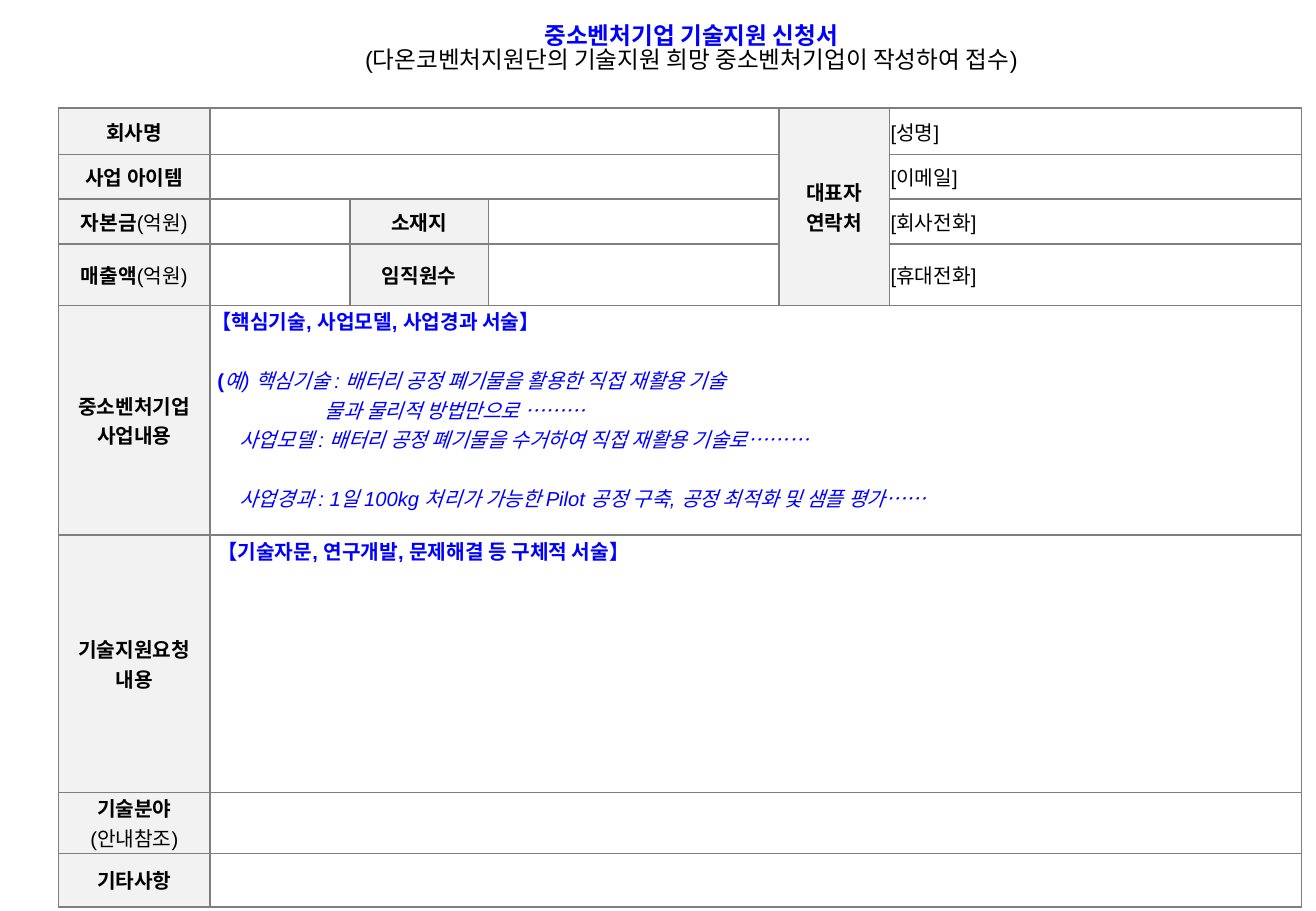
from lxml import etree
from pptx import Presentation
from pptx.dml.color import RGBColor
from pptx.enum.text import MSO_ANCHOR, MSO_AUTO_SIZE, PP_ALIGN
from pptx.oxml.ns import qn
from pptx.util import Inches, Pt

CENTER = PP_ALIGN.CENTER
JUSTIFY = PP_ALIGN.JUSTIFY
TOP = MSO_ANCHOR.TOP
MIDDLE = MSO_ANCHOR.MIDDLE
NO_AUTOFIT = MSO_AUTO_SIZE.NONE

COLORS = {
    "text": "000000",
    "guide": "0000FF",
    "label": "F2F2F2",
    "field": "FFFFFF",
    "border": "7F7F7F",
}
COLUMN_WIDTHS = [1.25, 1.15, 1.14, 2.39, 0.91, 3.39]
ROW_HEIGHTS = [0.38, 0.37, 0.37, 0.5, 1.89, 2.12, 0.5, 0.44]
MERGES = [
    (0, 1, 0, 3), (1, 1, 1, 3), (0, 4, 3, 4),
    (4, 1, 4, 5), (5, 1, 5, 5), (6, 1, 6, 5), (7, 1, 7, 5),
]
LABELS = {
    (0, 0): ["회사명"],
    (1, 0): ["사업 아이템"],
    (2, 2): ["소재지"],
    (3, 2): ["임직원수"],
    (0, 4): ["대표자", "연락처"],
    (4, 0): ["중소벤처기업", "사업내용"],
    (5, 0): ["기술지원요청", "내용"],
    (7, 0): ["기타사항"],
}
UNIT_LABELS = {(2, 0): "자본금", (3, 0): "매출액"}
CONTACTS = ["[성명]", "[이메일]", "[회사전화]", "[휴대전화]"]
EXAMPLES = [
    (0.93, 0, "물과 물리적 방법만으로 ………"),
    (0.23, 0, "사업모델 : 배터리 공정 폐기물을 수거하여 직접 재활용 기술로………"),
    (0.23, 17.5, "사업경과 : 1일 100kg 처리가 가능한 Pilot 공정 구축, 공정 최적화 및 샘플 평가……"),
]


class FormSlide:
    def __init__(self, presentation):
        self.slide = presentation.slides.add_slide(presentation.slide_layouts[5])
        self.font_name = "Arial"

    def run(self, paragraph, text, bold=False, italic=False, color="text", size=12):
        run = paragraph.add_run()
        run.text = text
        font = run.font
        font.name = self.font_name
        font.size = Pt(size)
        font.bold = bold
        font.italic = italic
        font.color.rgb = RGBColor.from_string(COLORS[color])

    def title(self, heading, subtitle):
        shape = self.slide.shapes.title
        shape.left, shape.top = Inches(1.05), Inches(0.17)
        shape.width, shape.height = Inches(9.28), Inches(0.72)
        frame = shape.text_frame
        frame.auto_size = NO_AUTOFIT
        frame.word_wrap = True
        frame.vertical_anchor = TOP
        frame.margin_left = frame.margin_right = Inches(0.08)
        frame.margin_top = frame.margin_bottom = Inches(0.04)
        paragraph = frame.paragraphs[0]
        paragraph.alignment = CENTER
        paragraph.line_spacing = 0.85
        self.run(paragraph, heading, bold=True, color="guide", size=14)
        paragraph.add_line_break()
        self.run(paragraph, subtitle, size=14)

    def table(self, left, top):
        frame = self.slide.shapes.add_table(
            len(ROW_HEIGHTS), len(COLUMN_WIDTHS), Inches(left), Inches(top),
            Inches(sum(COLUMN_WIDTHS)), Inches(sum(ROW_HEIGHTS)))
        table = frame.table
        table.first_row = table.horz_banding = False
        for column, width in zip(table.columns, COLUMN_WIDTHS):
            column.width = Inches(width)
        for row, height in zip(table.rows, ROW_HEIGHTS):
            row.height = Inches(height)
        for cell in table.iter_cells():
            self.style_cell(cell)
        for first_row, first_column, last_row, last_column in MERGES:
            table.cell(first_row, first_column).merge(table.cell(last_row, last_column))
        return table

    def style_cell(self, cell):
        cell.margin_left = cell.margin_right = Inches(0.01)
        cell.margin_top = cell.margin_bottom = Inches(0.01)
        cell.vertical_anchor = MIDDLE
        properties = cell._tc.get_or_add_tcPr()
        for side in ("a:lnL", "a:lnR", "a:lnT", "a:lnB"):
            line = etree.SubElement(properties, qn(side), w=str(Pt(1)))
            fill = etree.SubElement(line, qn("a:solidFill"))
            etree.SubElement(fill, qn("a:srgbClr"), val=COLORS["border"])
        self.fill(cell, "field")

    def fill(self, cell, color):
        cell.fill.solid()
        cell.fill.fore_color.rgb = RGBColor.from_string(COLORS[color])

    def label(self, cell, lines):
        self.fill(cell, "label")
        frame = cell.text_frame
        for index, line in enumerate(lines):
            paragraph = frame.add_paragraph() if index else frame.paragraphs[0]
            paragraph.alignment = CENTER
            self.run(paragraph, line, bold=True)
        return frame.paragraphs[0]

    def entry(self, cell, indent=0, before=0, added=False):
        frame = cell.text_frame
        paragraph = frame.add_paragraph() if added else frame.paragraphs[0]
        paragraph.alignment = JUSTIFY
        if indent:
            properties = paragraph._p.get_or_add_pPr()
            properties.set("marL", str(Inches(indent)))
            properties.set("indent", "0")
        if before:
            paragraph.space_before = Pt(before)
        return paragraph


def main():
    presentation = Presentation()
    presentation.slide_width = Inches(10.83)
    presentation.slide_height = Inches(7.5)
    form = FormSlide(presentation)
    form.title("중소벤처기업 기술지원 신청서",
               "(다온코벤처지원단의 기술지원 희망 중소벤처기업이 작성하여 접수)")
    table = form.table(0.48, 0.89)

    for position, lines in LABELS.items():
        form.label(table.cell(*position), lines)
    for position, name in UNIT_LABELS.items():
        form.run(form.label(table.cell(*position), [name]), "(억원)")
    field_label = form.label(table.cell(6, 0), ["기술분야"])
    field_label.add_line_break()
    form.run(field_label, "(안내참조)")
    for row, contact in enumerate(CONTACTS):
        form.run(form.entry(table.cell(row, 5)), contact)

    business = table.cell(4, 1)
    business.vertical_anchor = TOP
    form.run(form.entry(business), "【핵심기술, 사업모델, 사업경과 서술】", bold=True, color="guide")
    example = form.entry(business, 0.05, 17.5, added=True)
    form.run(example, "(", bold=True, color="guide")
    form.run(example, "예) 핵심기술 : 배터리 공정 폐기물을 활용한 직접 재활용 기술",
             italic=True, color="guide")
    for indent, before, text in EXAMPLES:
        form.run(form.entry(business, indent, before, added=True), text,
                 italic=True, color="guide")

    request = table.cell(5, 1)
    request.vertical_anchor = TOP
    form.run(form.entry(request, 0.05), "【기술자문, 연구개발, 문제해결 등 구체적 서술】",
             bold=True, color="guide")
    presentation.save("out.pptx")


if __name__ == "__main__":
    main()
